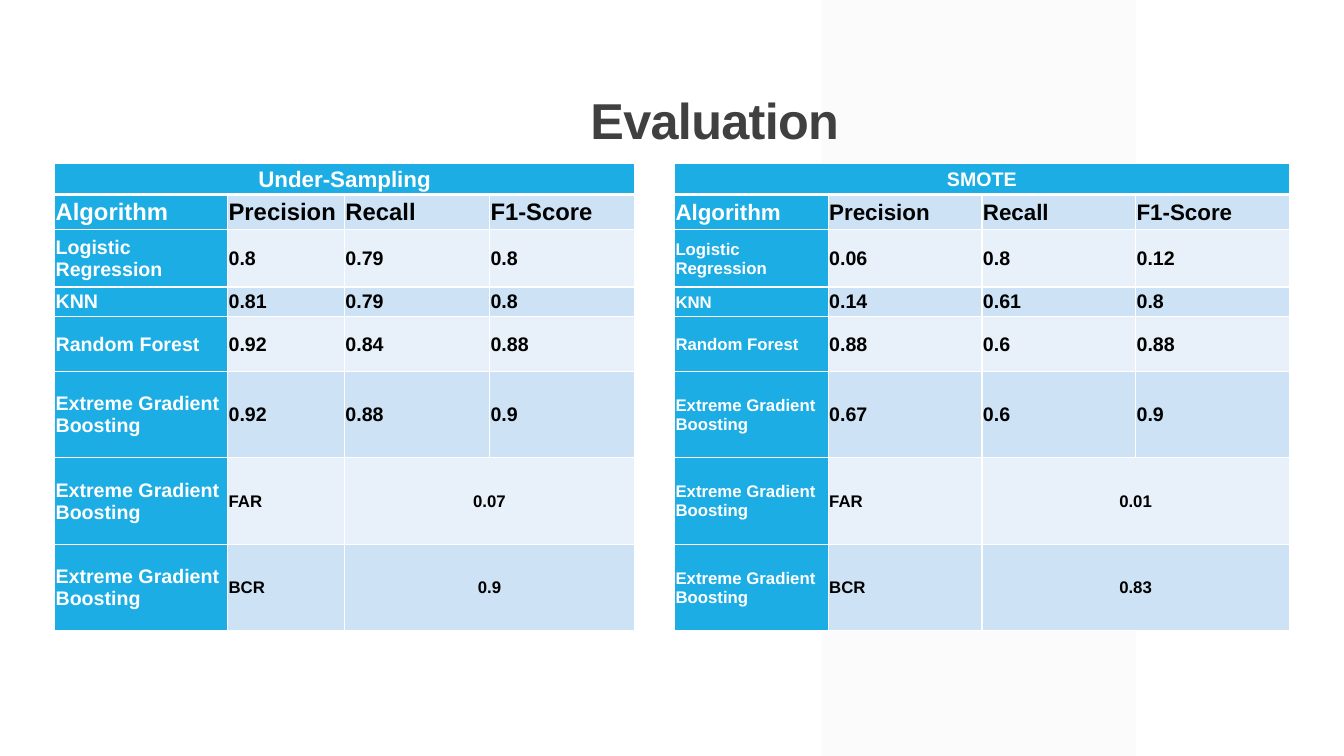
from lxml.etree import SubElement
from pptx import Presentation
from pptx.dml.color import RGBColor
from pptx.enum.shapes import MSO_SHAPE as Shape
from pptx.enum.text import MSO_ANCHOR as Anchor, PP_ALIGN as Align
from pptx.oxml import parse_xml
from pptx.oxml.ns import nsdecls, qn
from pptx.util import Pt

WHITE = RGBColor(0xFF, 0xFF, 0xFF)
BLACK = RGBColor(0, 0, 0)
DARK = RGBColor(0x40, 0x40, 0x40)
GREY = RGBColor(0xF2, 0xF2, 0xF2)
BLUE = RGBColor(0x1C, 0xAD, 0xE4)
BANDS = [RGBColor(0xCD, 0xE3, 0xF5), RGBColor(0xE8, 0xF1, 0xFA)]
FONT = "Arial"

HEADS = ["Algorithm", "Precision", "Recall", "F1-Score"]
BOOST = "Extreme Gradient Boosting"
NAMES = ["Logistic Regression", "KNN", "Random Forest", BOOST]
ROWS = [22.3, 25.1, 41.1, 20.9, 39.4, 61.7, 61.7, 61.7]

UNDER = [["0.8", "0.79", "0.8"], ["0.81", "0.79", "0.8"],
         ["0.92", "0.84", "0.88"], ["0.92", "0.88", "0.9"]]
SMOTE = [["0.06", "0.8", "0.12"], ["0.14", "0.61", "0.8"],
         ["0.88", "0.6", "0.88"], ["0.67", "0.6", "0.9"]]


def style(para, size, color, align=Align.LEFT):
    para.alignment = align
    for run in para.runs:
        font = run.font
        font.name, font.size, font.bold = FONT, Pt(size), True
        font.color.rgb = color


def draw_band(slide, x, y, w, h):
    band = slide.shapes.add_shape(Shape.PARALLELOGRAM, Pt(x), Pt(y), Pt(w), Pt(h))
    band.adjustments[0] = 0
    band.shadow.inherit = False
    band.fill.solid()
    band.fill.fore_color.rgb = GREY
    band.line.fill.background()
    color = band.fill._xPr.find(".//" + qn("a:srgbClr"))
    SubElement(color, qn("a:alpha"), val="30000")


def draw_title(slide, x, y, w, h):
    frame = slide.shapes.add_textbox(Pt(x), Pt(y), Pt(w), Pt(h)).text_frame
    frame.word_wrap = True
    frame.vertical_anchor = Anchor.BOTTOM
    frame.text = "Evaluation"
    para = frame.paragraphs[0]
    para.line_spacing = 0.9
    style(para, 36, DARK, Align.CENTER)
    para.runs[0]._r.get_or_add_rPr().set("spc", "-50")


def set_edges(cell, top, bottom):
    """Give the cell white borders; widths are in points."""
    props = cell._tc.get_or_add_tcPr()
    for i, (side, width) in enumerate(zip("LRTB", [1, 1, top, bottom])):
        props.insert(i, parse_xml(
            f'<a:ln{side} {nsdecls("a")} w="{Pt(width)}"><a:solidFill>'
            f'<a:srgbClr val="{WHITE}"/></a:solidFill></a:ln{side}>'))


def draw_table(slide, x, y, cols, title, scores, rates, sizes):
    """Draw one score table; sizes are for title, heads and names."""
    cells = [[title], HEADS]
    cells += [[name] + row for name, row in zip(NAMES, scores)]
    cells += [[BOOST, key, rate] for key, rate in zip(["FAR", "BCR"], rates)]
    big, head, small = sizes
    table = slide.shapes.add_table(len(ROWS), len(cols), Pt(x), Pt(y),
                                   Pt(sum(cols)), Pt(sum(ROWS))).table
    table.first_row = table.horz_banding = False
    for col, width in zip(table.columns, cols):
        col.width = Pt(width)
    for r, height in enumerate(ROWS):
        table.rows[r].height = Pt(height)
        for c in range(len(cols)):
            cell = table.cell(r, c)
            cell.margin_left = cell.margin_right = cell.margin_top = Pt(0.72)
            cell.margin_bottom = 0
            cell.vertical_anchor = Anchor.MIDDLE
            blue = r == 0 or c == 0
            cell.fill.solid()
            cell.fill.fore_color.rgb = BLUE if blue else BANDS[(r + 1) % 2]
            set_edges(cell, 3 if r == 1 else 1, 3 if r == 0 else 1)
            if c >= len(cells[r]):
                continue
            cell.text_frame.text = cells[r][c]
            if r < 2:
                size = [big, head][r]
            elif c == 0:
                size = small
            else:
                size = 14 if r < 6 else 12
            wide = r == 0 or (r > 5 and c == 2)
            style(cell.text_frame.paragraphs[0], size,
                  WHITE if blue else BLACK,
                  Align.CENTER if wide else Align.LEFT)
    table.cell(0, 0).merge(table.cell(0, 3))
    for r in (6, 7):
        table.cell(r, 2).merge(table.cell(r, 3))


def main():
    deck = Presentation()
    deck.slide_width, deck.slide_height = Pt(960), Pt(540)
    slide = deck.slides.add_slide(deck.slide_layouts[6])
    draw_band(slide, 586.8, 0, 224.6, 540)
    draw_title(slide, 114.5, 25.2, 792, 85.7)
    draw_table(slide, 39, 116.6, [123.6, 83.5, 103.6, 103.6],
               "Under-Sampling", UNDER, ["0.07", "0.9"], [16, 17, 14])
    draw_table(slide, 481.8, 116.6, [109.8] * 4,
               "SMOTE", SMOTE, ["0.01", "0.83"], [14, 16, 12])
    deck.save("out.pptx")


if __name__ == "__main__":
    main()
